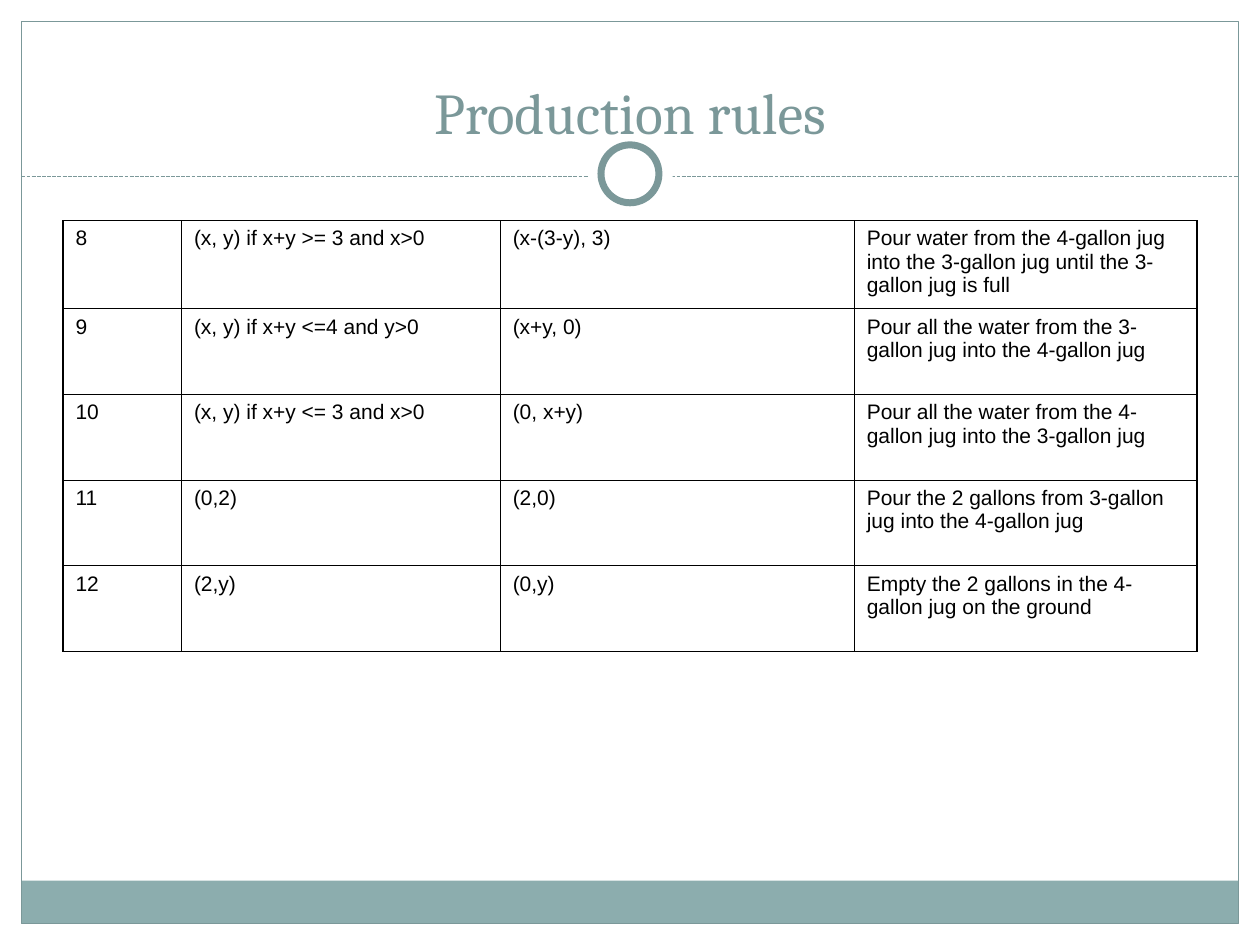
import pptx
import pptx.util
import pptx.dml.color
import pptx.enum.dml
import pptx.enum.shapes
import pptx.enum.text
import lxml.etree

Inches, Pt = pptx.util.Inches, pptx.util.Pt
SHAPE = pptx.enum.shapes.MSO_SHAPE

theme = {
    "white": pptx.dml.color.RGBColor.from_string("FFFFFF"),
    "black": pptx.dml.color.RGBColor.from_string("000000"),
    "accent": pptx.dml.color.RGBColor.from_string("7B9899"),
    "band": pptx.dml.color.RGBColor.from_string("8CADAE"),
    "title": {"name": "Cambria", "size": Pt(33), "bold": False},
    "body": {"name": "Arial", "size": Pt(12), "bold": False},
    "thin": 0.45,
    "thick": 1.08,
}


def write(para, text, style, color):
    span = para.add_run()
    span.text = text
    for name, value in theme[style].items():
        setattr(span.font, name, value)
    span.font.color.rgb = theme[color]


def add_border(cell, side, width):
    props = cell._tc.get_or_add_tcPr()
    line = lxml.etree.SubElement(
        props, pptx.oxml.ns.qn("a:ln" + side), w=str(int(Pt(width))))
    fill = lxml.etree.SubElement(line, pptx.oxml.ns.qn("a:solidFill"))
    lxml.etree.SubElement(
        fill, pptx.oxml.ns.qn("a:srgbClr"), val=str(theme["black"]))


deck = pptx.Presentation()
deck.slide_width, deck.slide_height = Inches(10), Inches(7.5)
page = deck.slides.add_slide(deck.slide_layouts[5])
margin, inner = 0.17, 9.66
rule_y = 1.4

# Page edges, footer band and frame: place, fill, line width
panels = [
    (SHAPE.RECTANGLE, (0, 0, 10, 1.52), "white", 0),
    (SHAPE.RECTANGLE, (0, 0, margin, 7.5), "white", 0),
    (SHAPE.RECTANGLE, (10 - margin, 0, margin, 7.5), "white", 0),
    (SHAPE.RECTANGLE, (margin, 6.99, inner, 0.34), "band", 0),
    (SHAPE.RECTANGLE, (margin, margin, inner, 7.5 - 2 * margin), None, 0.75),
]
# Ring in the middle of the rule
ring = [
    (SHAPE.OVAL, (4.67, 1.05, 0.67, 0.67), "white", 0),
    (SHAPE.OVAL, (4.77, 1.15, 0.46, 0.46), "white", 4),
]
for kind, place, color, width in panels + ring:
    if (kind, place) == ring[0][:2]:
        # Dashed rule, drawn beneath the ring
        rule = page.shapes.add_connector(
            pptx.enum.shapes.MSO_CONNECTOR.STRAIGHT, Inches(margin),
            Inches(rule_y), Inches(10 - margin), Inches(rule_y))
        rule.line.color.rgb = theme["accent"]
        rule.line.width = Pt(0.75)
        rule.line.dash_style = pptx.enum.dml.MSO_LINE.SQUARE_DOT
        lxml.etree.SubElement(
            rule._element.spPr, pptx.oxml.ns.qn("a:effectLst"))
    box = page.shapes.add_shape(kind, *map(Inches, place))
    box.shadow.inherit = False
    if color:
        box.fill.solid()
        box.fill.fore_color.rgb = theme[color]
    else:
        box.fill.background()
    if width:
        box.line.color.rgb = theme["accent"]
        box.line.width = Pt(width)
    else:
        box.line.fill.background()

# Title, brought in front of the ring
title = page.shapes.title
title.left, title.top, title.width, title.height = map(
    Inches, (0.5, 0.33, 9, 0.88))
title_format = {
    "vertical_anchor": pptx.enum.text.MSO_ANCHOR.BOTTOM,
    "auto_size": pptx.enum.text.MSO_AUTO_SIZE.NONE,
    "word_wrap": True,
}
for name, value in title_format.items():
    setattr(title.text_frame, name, value)
title_para = title.text_frame.paragraphs[0]
title_para.alignment = pptx.enum.text.PP_ALIGN.CENTER
write(title_para, "Production rules", "title", "accent")
title.element.getparent().append(title.element)

# Table of rules: number, state, next state, meaning
rules = [
    ("8", "(x, y) if x+y >= 3 and x>0", "(x-(3-y), 3)",
     "Pour water from the 4-gallon jug into the 3-gallon jug "
     "until the 3-gallon jug is full"),
    ("9", "(x, y) if x+y <=4 and y>0", "(x+y, 0)",
     "Pour all the water from the 3-gallon jug into the 4-gallon jug"),
    ("10", "(x, y) if x+y <= 3 and x>0", "(0, x+y)",
     "Pour all the water from the 4-gallon jug into the 3-gallon jug"),
    ("11", "(0,2)", "(2,0)",
     "Pour the 2 gallons from 3-gallon jug into the 4-gallon jug"),
    ("12", "(2,y)", "(0,y)",
     "Empty the 2 gallons in the 4-gallon jug on the ground"),
]
columns = [0.94, 2.53, 2.81, 2.72]
rows = [0.7] + [0.68] * (len(rules) - 1)
table = page.shapes.add_table(
    len(rows), len(columns), Inches(0.5), Inches(1.75),
    Inches(sum(columns)), Inches(sum(rows))).table
for name in ("first_row", "horz_banding"):
    setattr(table, name, False)
for column, width in zip(table.columns, columns):
    column.width = Inches(width)
for row, height in zip(table.rows, rows):
    row.height = Inches(height)

for r, texts in enumerate(rules):
    for c, text in enumerate(texts):
        cell = table.cell(r, c)
        para = cell.text_frame.paragraphs[0]
        para.space_before = Pt(3)
        write(para, text, "body", "black")
        # Thick outer edge at the left, right and bottom
        edges = {"L": c == 0, "R": c == len(columns) - 1,
                 "T": False, "B": r == len(rows) - 1}
        for side, outer in edges.items():
            add_border(cell, side, theme["thick" if outer else "thin"])
        cell.fill.background()

deck.save("out.pptx")
